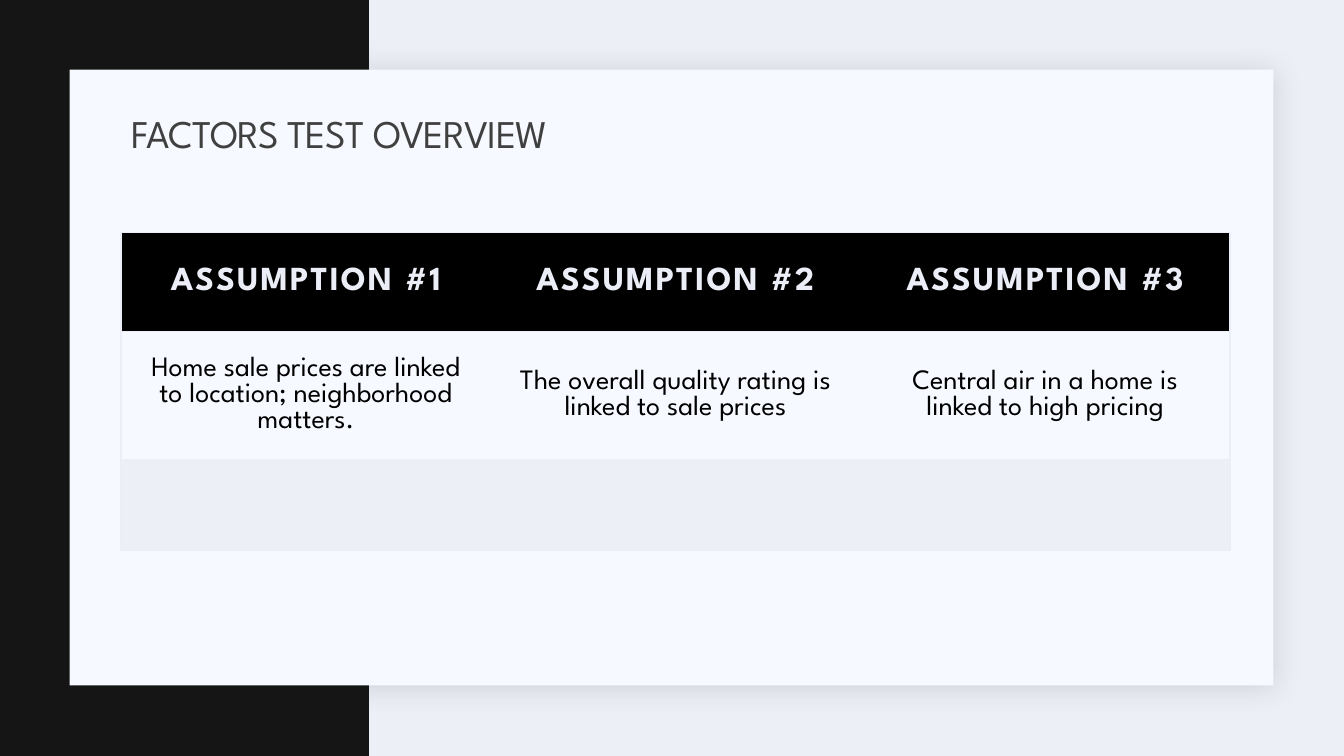
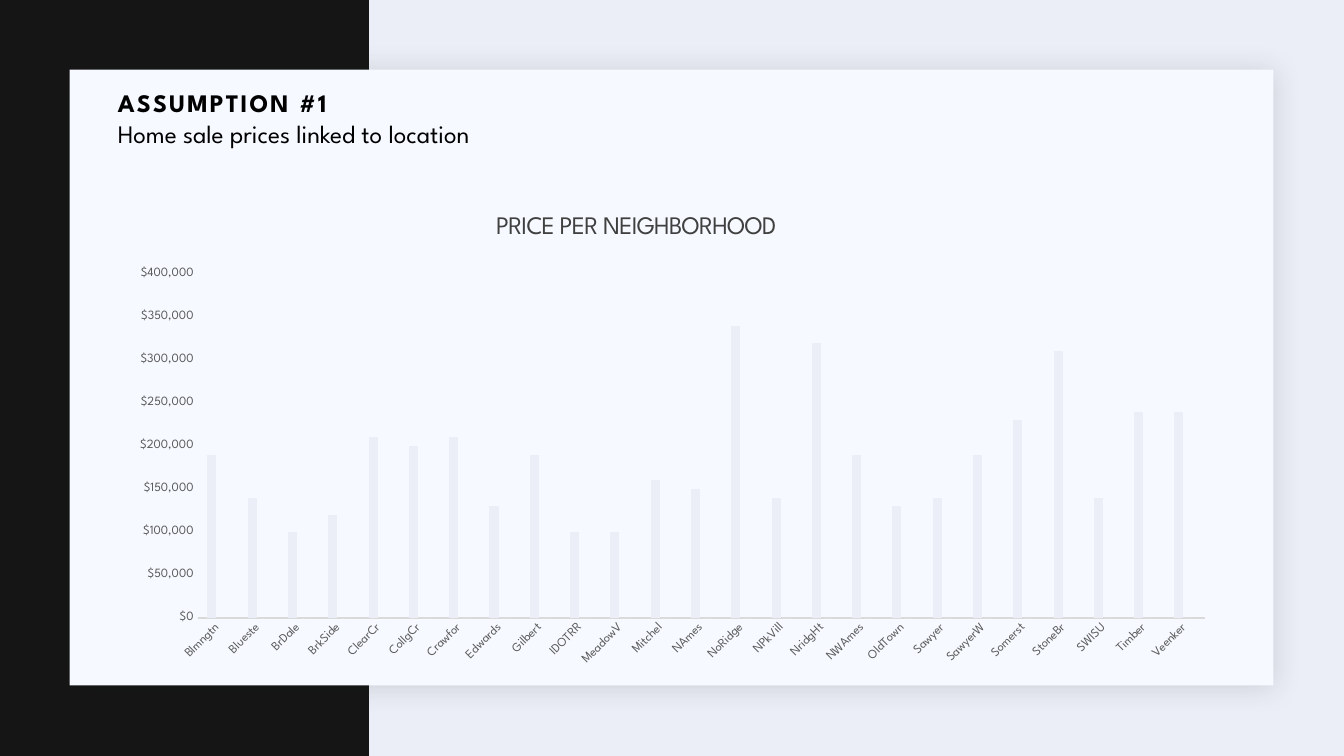
import pptx
import pptx.chart.data
import pptx.dml.color
import pptx.enum.chart
import pptx.enum.shapes
import pptx.enum.text
import pptx.oxml
import pptx.oxml.ns
import pptx.util

Inches = pptx.util.Inches
Pt = pptx.util.Pt
RGBColor = pptx.dml.color.RGBColor
PP_ALIGN = pptx.enum.text.PP_ALIGN
MIDDLE = pptx.enum.text.MSO_ANCHOR.MIDDLE
AUTO_SIZE = pptx.enum.text.MSO_AUTO_SIZE

BLACK = RGBColor(0x00, 0x00, 0x00)
BAND = RGBColor(0x14, 0x15, 0x14)
PANEL = RGBColor(0xF6, 0xF9, 0xFF)
MIST = RGBColor(0xED, 0xEF, 0xF7)
LAVENDER = RGBColor(0xEC, 0xEE, 0xF7)
PALE = RGBColor(0xF5, 0xF8, 0xFF)
TITLE_GRAY = RGBColor(0x40, 0x40, 0x40)
LABEL_GRAY = RGBColor(0x59, 0x59, 0x59)
AXIS_GRAY = RGBColor(0xD9, 0xD9, 0xD9)
SHADOW = RGBColor(0x1F, 0x21, 0x25)
FONT = "League Spartan"

PRICES_IN_THOUSANDS = {
    "Blmngtn": 190, "Blueste": 140, "BrDale": 100, "BrkSide": 120, "ClearCr": 210,
    "CollgCr": 200, "Crawfor": 210, "Edwards": 130, "Gilbert": 190, "IDOTRR": 100,
    "MeadowV": 100, "Mitchel": 160, "NAmes": 150, "NoRidge": 340, "NPkVill": 140,
    "NridgHt": 320, "NWAmes": 190, "OldTown": 130, "Sawyer": 140, "SawyerW": 190,
    "Somerst": 230, "StoneBr": 310, "SWISU": 140, "Timber": 240, "Veenker": 240,
}


def set_font(font, size, color, bold=False):
    font.name = FONT
    font.size = Pt(size)
    font.bold = bold
    font.color.rgb = color


def write(paragraph, text, size=18, color=BLACK, bold=False, spacing=0,
          align=PP_ALIGN.LEFT, line_spacing=None):
    paragraph.alignment = align
    if line_spacing:
        paragraph.line_spacing = line_spacing
    run = paragraph.add_run()
    run.text = text
    set_font(run.font, size, color, bold)
    run._r.get_or_add_rPr().set("spc", str(round(spacing * 100)))


def parse_drawing(xml):
    return pptx.oxml.parse_xml(xml.replace(">", f" {pptx.oxml.ns.nsdecls('a')}>", 1))


class Deck:
    def __init__(self):
        self.presentation = pptx.Presentation()
        self.presentation.slide_width = Inches(13.33)
        self.presentation.slide_height = Inches(7.5)
        self.slide = None

    def start_slide(self, background):
        title_only = self.presentation.slide_layouts[5]
        self.slide = self.presentation.slides.add_slide(title_only)
        self.slide.background.fill.solid()
        self.slide.background.fill.fore_color.rgb = background
        self.backdrop(0, 0, 3.66, 7.5, BAND)
        panel = self.backdrop(0.69, 0.69, 11.94, 6.11, PANEL)
        panel.element.spPr.remove(panel.element.spPr.find(pptx.oxml.ns.qn("a:effectLst")))
        panel.element.spPr.append(parse_drawing(
            f'<a:effectLst><a:outerShdw blurRad="{Pt(20)}" dist="{Pt(2)}" dir="2700000" '
            f'algn="ctr" rotWithShape="0"><a:srgbClr val="{SHADOW}"><a:alpha val="15000"/>'
            '</a:srgbClr></a:outerShdw></a:effectLst>'))

    def backdrop(self, left, top, width, height, color):
        rectangle = self.slide.shapes.add_shape(
            pptx.enum.shapes.MSO_SHAPE.RECTANGLE,
            Inches(left), Inches(top), Inches(width), Inches(height))
        rectangle.shadow.inherit = False
        rectangle.fill.solid()
        rectangle.fill.fore_color.rgb = color
        rectangle.line.fill.background()
        self.slide.shapes.title.element.addprevious(rectangle.element)
        return rectangle

    def title(self, text, left, top, width, size):
        title = self.slide.shapes.title
        title.left, title.top = Inches(left), Inches(top)
        title.width, title.height = Inches(width), Inches(0.64)
        frame = title.text_frame
        frame.word_wrap = True
        frame.auto_size = AUTO_SIZE.NONE
        frame.vertical_anchor = MIDDLE
        write(frame.paragraphs[0], text, size=size, color=TITLE_GRAY,
              spacing=-0.5, line_spacing=0.9)

    def heading(self, label, statement, left, top, width, height):
        box = self.slide.shapes.add_textbox(
            Inches(left), Inches(top), Inches(width), Inches(height))
        frame = box.text_frame
        frame.word_wrap = False
        frame.auto_size = AUTO_SIZE.SHAPE_TO_FIT_TEXT
        write(frame.paragraphs[0], label, bold=True, spacing=1.5)
        write(frame.add_paragraph(), statement)

    def outline_cell(self, cell, sides):
        properties = cell._tc.get_or_add_tcPr()
        for position, side in enumerate("LRTB"):
            paint = (f'<a:solidFill><a:srgbClr val="{LAVENDER}"/></a:solidFill>'
                     if side in sides else "<a:noFill/>")
            properties.insert(position, parse_drawing(
                f'<a:ln{side} w="{Pt(1)}">{paint}</a:ln{side}>'))

    def assumptions_table(self, assumptions, left, top, width, row_heights):
        columns = len(assumptions)
        table = self.slide.shapes.add_table(
            len(row_heights), columns, Inches(left), Inches(top),
            Inches(width), Inches(sum(row_heights))).table
        for row, height in zip(table.rows, row_heights):
            row.height = Inches(height)
        row_styles = [
            (BLACK, dict(size=24, color=LAVENDER, bold=True, spacing=1.5)),
            (PANEL, dict(size=20)),
            (MIST, None),
        ]
        for row_index, (fill, text_style) in enumerate(row_styles):
            for column in range(columns):
                cell = table.cell(row_index, column)
                cell.fill.solid()
                cell.fill.fore_color.rgb = fill
                sides = "TB" + "L" * (column == 0) + "R" * (column == columns - 1)
                self.outline_cell(cell, sides)
                if text_style:
                    cell.vertical_anchor = MIDDLE
                    cell.margin_left = cell.margin_right = Inches(0.25)
                    cell.margin_top = cell.margin_bottom = Inches(0.25)
                    write(cell.text_frame.paragraphs[0], assumptions[column][row_index],
                          align=PP_ALIGN.CENTER, **text_style)

    def price_chart(self, prices, left, top, width, height):
        data = pptx.chart.data.CategoryChartData()
        data.categories = list(prices)
        data.add_series("Series 1", [price * 1000 for price in prices.values()])
        data.add_series("Series 2", [0] * len(prices))
        chart = self.slide.shapes.add_chart(
            pptx.enum.chart.XL_CHART_TYPE.COLUMN_CLUSTERED,
            Inches(left), Inches(top), Inches(width), Inches(height), data).chart
        set_font(chart.font, 10, BLACK)
        chart.has_title = False
        chart.has_legend = False

        plot = chart.plots[0]
        plot.gap_width = 219
        plot.overlap = -27
        plot.vary_by_categories = False
        for series, color in zip(plot.series, (LAVENDER, PALE)):
            series.format.fill.solid()
            series.format.fill.fore_color.rgb = color

        for axis in (chart.category_axis, chart.value_axis):
            axis.has_major_gridlines = False
            axis.major_tick_mark = pptx.enum.chart.XL_TICK_MARK.NONE
            axis.minor_tick_mark = pptx.enum.chart.XL_TICK_MARK.NONE
            set_font(axis.tick_labels.font, 9, LABEL_GRAY)
        chart.category_axis.format.line.color.rgb = AXIS_GRAY
        chart.category_axis.format.line.width = Pt(0.75)
        chart.element.xpath(".//c:catAx/c:txPr/a:bodyPr")[0].set("rot", "-2700000")

        prices_axis = chart.value_axis
        prices_axis.format.line.fill.background()
        prices_axis.minimum_scale = 0
        prices_axis.maximum_scale = 400000
        prices_axis.major_unit = 50000
        prices_axis.tick_labels.number_format = '"$"#,##0'
        prices_axis.tick_labels.number_format_is_linked = False


def main():
    deck = Deck()

    deck.start_slide(MIST)
    deck.title("FACTORS TEST OVERVIEW", 1.2, 1.03, 11, size=28)
    deck.assumptions_table([
        ("ASSUMPTION #1", "Home sale prices are linked to location; neighborhood matters."),
        ("ASSUMPTION #2", "The overall quality rating is linked to sale prices"),
        ("ASSUMPTION #3", "Central air in a home is linked to high pricing"),
    ], 1.2, 2.31, 11, row_heights=(0.98, 1.02, 0.9))

    deck.start_slide(LAVENDER)
    deck.title("PRICE PER NEIGHBORHOOD", 4.82, 1.93, 3.7, size=18)
    deck.price_chart(PRICES_IN_THOUSANDS, 1.17, 2.58, 11, 4.11)
    deck.heading("ASSUMPTION #1", "Home sale prices linked to location",
                 1.07, 0.82, 4.48, 0.71)

    deck.presentation.save("out.pptx")


if __name__ == "__main__":
    main()
